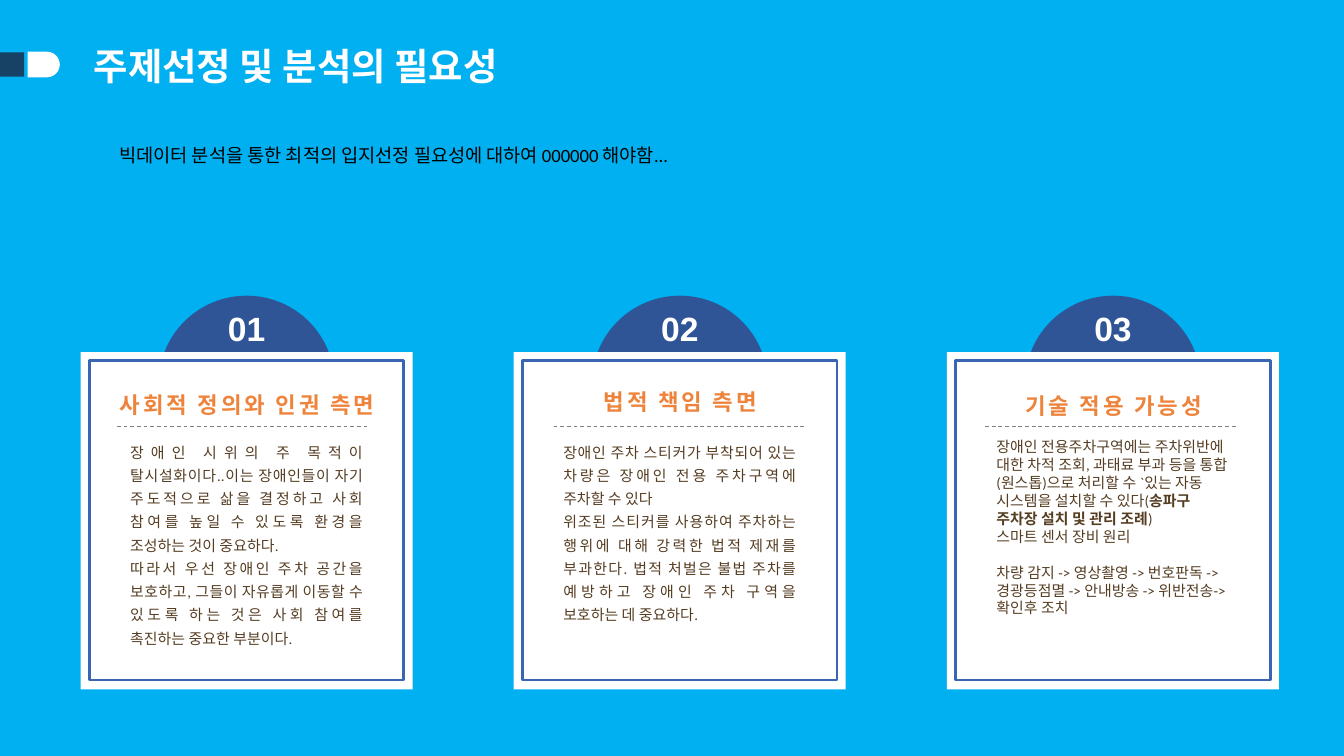
from pptx import Presentation
from pptx.dml.color import RGBColor
from pptx.enum.dml import MSO_LINE
from pptx.enum.shapes import MSO_CONNECTOR, MSO_SHAPE
from pptx.enum.text import MSO_ANCHOR, MSO_AUTO_SIZE, PP_ALIGN
from pptx.oxml.ns import qn
from pptx.util import Inches, Pt
from lxml import etree

RECT, OVAL, PILL = MSO_SHAPE.RECTANGLE, MSO_SHAPE.OVAL, MSO_SHAPE.ROUND_2_SAME_RECTANGLE
LEFT, MID, FULL = PP_ALIGN.LEFT, PP_ALIGN.CENTER, PP_ALIGN.JUSTIFY
TOP, CENTER = MSO_ANCHOR.TOP, MSO_ANCHOR.MIDDLE
GROW = MSO_AUTO_SIZE.SHAPE_TO_FIT_TEXT
STRAIGHT, DASH = MSO_CONNECTOR.STRAIGHT, MSO_LINE.DASH

SKY = RGBColor(0x00, 0xB0, 0xF0)
WHITE = RGBColor(0xFF, 0xFF, 0xFF)
BLACK = RGBColor(0x00, 0x00, 0x00)
NAVY = RGBColor(0x18, 0x41, 0x66)
BLUE = RGBColor(0x2F, 0x55, 0x97)
FRAME = RGBColor(0x39, 0x65, 0xB5)
ORANGE = RGBColor(0xEE, 0x84, 0x3B)
BROWN = RGBColor(0x55, 0x3D, 0x22)
GRAY = RGBColor(0x80, 0x80, 0x80)

deck = Presentation()
deck.slide_width = Inches(10)
deck.slide_height = deck.slide_width * 9 // 16
unit = deck.slide_width // 100
slide = deck.slides.add_slide(deck.slide_layouts[6])
slide.background.fill.solid()
slide.background.fill.fore_color.rgb = SKY


def shape(kind, x, y, w, h, fill=None, line=None):
    item = slide.shapes.add_shape(kind, *[int(v * unit) for v in (x, y, w, h)])
    item.shadow.inherit = False
    if fill is None:
        item.fill.background()
    else:
        item.fill.solid()
        item.fill.fore_color.rgb = fill
    if line is None:
        item.line.fill.background()
    else:
        item.line.color.rgb = line
        item.line.width = Pt(1.5)
    return item


def text(x, y, w, h, lines, size, face, color, bold=False, align=LEFT,
         anchor=TOP, gap=1.0, wrap=True):
    box = slide.shapes.add_textbox(*[int(v * unit) for v in (x, y, w, h)])
    frame = box.text_frame
    frame.word_wrap = wrap
    frame.auto_size = GROW
    frame.vertical_anchor = anchor
    for i, line in enumerate(lines):
        para = frame.paragraphs[0] if i == 0 else frame.add_paragraph()
        para.alignment = align
        para.line_spacing = gap
        para.font.size = Pt(size)
        para.font.name = face
        para.font.color.rgb = color
        para.font.bold = bold
        for n, part in enumerate(line.split("*")):
            run = para.add_run()
            run.text = part
            if n % 2:
                run.font.bold = True
    return frame.paragraphs


text(6, 3.2, 46.4, 3.9, ["주제선정 및 분석의 필요성"], 20, "Noto Sans CJK KR", WHITE,
     bold=True, anchor=CENTER, gap=0.8)
pill = shape(PILL, 2.3, 3.6, 1.9, 2.4, WHITE)
pill.adjustments[0] = 0.5
pill.rotation = 90
shape(RECT, 0, 3.9, 1.8, 1.8, NAVY)

cards = [
    ("사회적 정의와 인권 측면", 28, 8.7, 16.6, FULL, 1.3, [
        "장애인 시위의 주 목적이 탈시설화이다..이는 장애인들이 자기 주도적으로 삶을 결정하고 "
        "사회 참여를 높일 수 있도록 환경을 조성하는 것이 중요하다.",
        "따라서 우선 장애인 주차 공간을 보호하고, 그들이 자유롭게 이동할 수 있도록 하는 것은 "
        "사회 참여를 촉진하는 중요한 부분이다."]),
    ("법적 책임 측면", 27.8, 41.2, 14.9, FULL, 1.3, [
        "장애인 주차 스티커가 부착되어 있는 차량은 장애인 전용 주차구역에 주차할 수 있다",
        "위조된 스티커를 사용하여 주차하는 행위에 대해 강력한 법적 제재를 부과한다. "
        "법적 처벌은 불법 주차를 예방하고 장애인 주차 구역을 보호하는 데 중요하다."]),
    ("기술 적용 가능성", 28.1, 73.3, 15.8, LEFT, 1.0, [
        "장애인 전용주차구역에는 주차위반에 대한 차적 조회, 과태료 부과 등을 통합(원스톱)으로 "
        "처리할 수 `있는 자동 시스템을 설치할 수 있다(*송파구 주차장 설치 및 관리 조례*)",
        "스마트 센서 장비 원리",
        "차량 감지 -> 영상촬영 -> 번호판독 -> 경광등점멸 -> 안내방송 -> 위반전송-> 확인후 조치"]),
]
for i, (head, top, rule, tall, align, gap, lines) in enumerate(cards):
    x = 6 + i * 32.23
    shape(OVAL, x + 5.8, 22, 13.1, 13.1, BLUE)
    shape(RECT, x, 26.2, 24.7, 25.1, WHITE)
    text(x + 7.6, 22.4, 9.5, 4, [f"{i + 1:02}"], 18, "Arial", WHITE,
         bold=True, align=MID, anchor=CENTER)
    shape(RECT, x + 0.65, 26.8, 23.4, 23.8, line=FRAME)
    body = text(x + 2.7, 32.1, 19.3, tall, lines, 8, "Calibri", BROWN, align=align, gap=gap)
    if len(body) == 3:
        body[2].space_before = Pt(9.6)
    name = text(x - 0.2, top, 25.2, 3.4, [head], 12, "Arial", ORANGE,
                bold=True, align=MID, gap=1.3)
    for run in name[0].runs:
        run.font._element.set("spc", "150")
    dash = slide.shapes.add_connector(
        STRAIGHT, *[int(v * unit) for v in (rule, 31.7, rule + 18.7, 31.7)])
    dash.line.color.rgb = GRAY
    dash.line.width = Pt(0.5)
    dash.line.dash_style = DASH
    etree.SubElement(dash._element.spPr, qn("a:effectLst"))

text(7.9, 10.2, 46.4, 2.7, ["빅데이터 분석을 통한 최적의 입지선정 필요성에 대하여 000000 해야함..."],
     10, "Calibri", BLACK, wrap=False)

deck.save("out.pptx")
